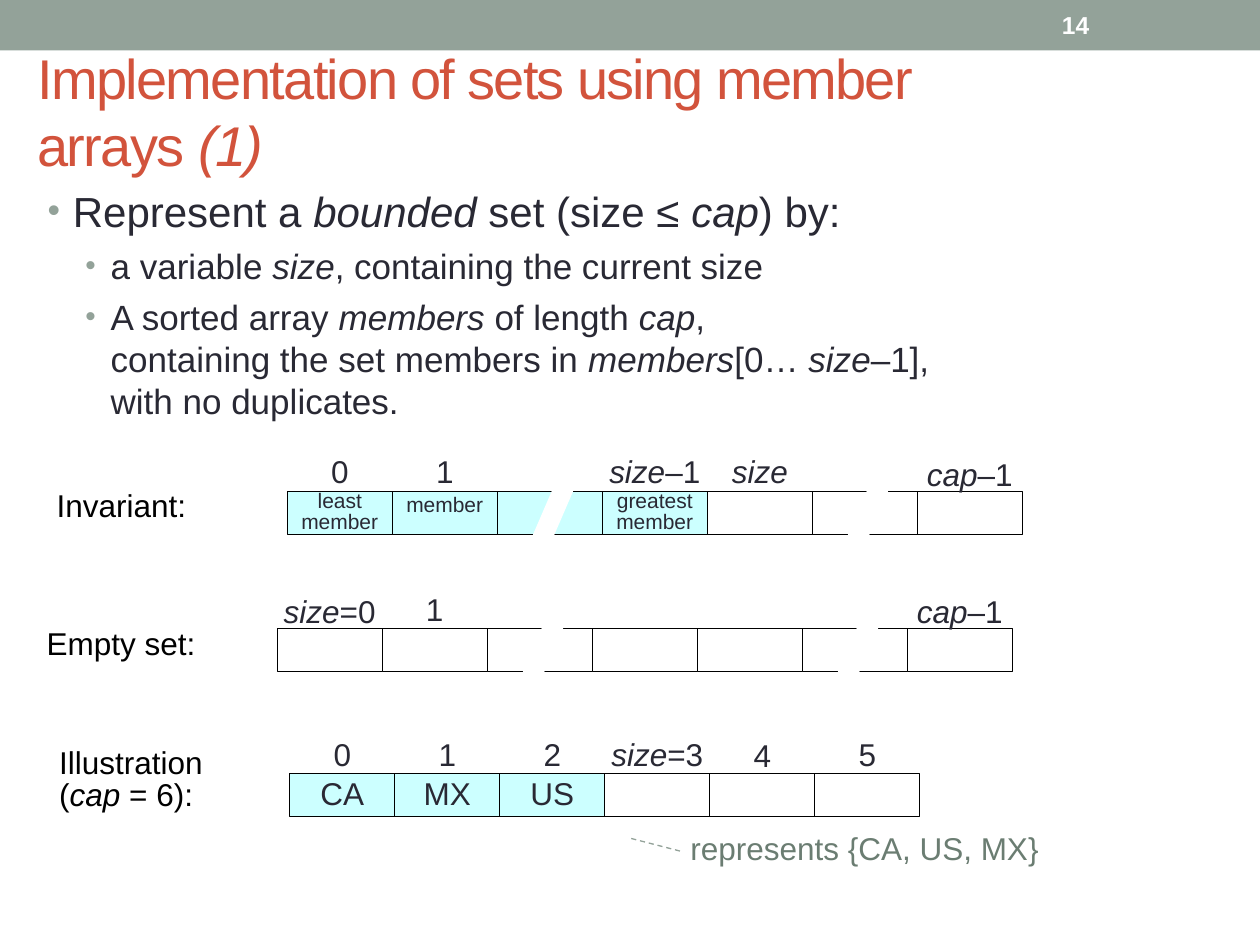
import dataclasses
import lxml.etree
import pptx
import pptx.dml.color
import pptx.enum.dml
import pptx.enum.shapes
import pptx.enum.text
import pptx.oxml.ns
import pptx.util

Inches = pptx.util.Inches
Pt = pptx.util.Pt
RGB = pptx.dml.color.RGBColor.from_string
Shape = pptx.enum.shapes.MSO_SHAPE
Align = pptx.enum.text.PP_ALIGN
Anchor = pptx.enum.text.MSO_ANCHOR
qn = pptx.oxml.ns.qn


@dataclasses.dataclass(frozen=True)
class Theme:
    font: str = "Arial"
    sage: str = "93A299"
    moss: str = "6B7D72"
    red: str = "D2533C"
    ink: str = "292934"
    black: str = "000000"
    white: str = "FFFFFF"
    aqua: str = "CCFFFF"
    title: int = 32
    lead: int = 24
    point: int = 20
    label: int = 18
    page: int = 14
    small: int = 12


theme = Theme()


def write(para, text, size, color, align=Align.LEFT, pitch=None):
    para.alignment = align
    if pitch:
        para.line_spacing = Pt(pitch)
    for part, words in enumerate(text.split("*")):
        for row, line in enumerate(words.split("\n")):
            if row:
                para.add_line_break()
            if line:
                run = para.add_run()
                run.text = line
                run.font.name = theme.font
                run.font.size = Pt(size)
                run.font.color.rgb = RGB(color)
                run.font.italic = part % 2 == 1


def place(home, box, kind=None, fill=None, line=None, inset=0):
    area = [Inches(side) for side in box]
    if kind is None:
        shape = home.add_textbox(*area)
    else:
        shape = home.add_shape(kind, *area)
        shape.shadow.inherit = False
        if fill:
            shape.fill.solid()
            shape.fill.fore_color.rgb = RGB(fill)
        else:
            shape.fill.background()
        if line:
            shape.line.color.rgb = RGB(line)
            shape.line.width = Pt(0.75)
        else:
            shape.line.fill.background()
    frame = shape.text_frame
    frame.word_wrap = True
    frame.vertical_anchor = Anchor.TOP
    frame.margin_left = frame.margin_right = Inches(inset)
    frame.margin_top = frame.margin_bottom = Inches(inset / 2)
    return shape


deck = pptx.Presentation()
deck.slide_width = Inches(10)
deck.slide_height = Inches(7.5)
slide = deck.slides.add_slide(deck.slide_layouts[6])
shapes = slide.shapes

place(shapes, (0, 0, 10, 0.4), Shape.RECTANGLE, theme.sage)

title = place(shapes, (0.2, 0.25, 8.83, 1.25), inset=0.1).text_frame
title.vertical_anchor = Anchor.MIDDLE
write(title.paragraphs[0], "Implementation of sets using member \narrays *(1)*", theme.title, theme.red)
for run in title.paragraphs[0].runs:
    run.font._element.set("spc", "-100")

body = place(shapes, (0.28, 1.39, 8.33, 5.25), inset=0.1).text_frame
body.margin_top = Inches(0.08)
points = [
    (0, "Represent a *bounded* set (size ≤ *cap*) by:"),
    (1, "a variable *size*, containing the current size"),
    (1, "A sorted array *members* of length *cap*, \ncontaining the set members in "
        "*members*[0… *size*–1],\nwith no duplicates."),
]
for spot, (level, text) in enumerate(points):
    para = body.add_paragraph() if spot else body.paragraphs[0]
    para.level = level
    props = para._p.get_or_add_pPr()
    props.set("marL", str(Inches(0.2 + 0.3 * level)))
    props.set("indent", str(Inches(-0.2)))
    tint = lxml.etree.SubElement(props, qn("a:buClr"))
    lxml.etree.SubElement(tint, qn("a:srgbClr"), val=theme.sage)
    lxml.etree.SubElement(props, qn("a:buSzPct"), val="85000")
    lxml.etree.SubElement(props, qn("a:buFont"), typeface=theme.font)
    lxml.etree.SubElement(props, qn("a:buChar"), char="•")
    if spot:
        para.space_before = Pt(5)
    write(para, text, theme.point if level else theme.lead, theme.ink)

step = 5 / 6
high = 0.34
rows = [
    dict(left=2.2, top=4.99, count=7, full=0, cells=[], size=theme.label, pitch=None, cuts=[2, 5],
         name="Empty set:", box=(0.37, 5, 1.46, 0.25),
         marks=[(0, "*size*=0", 0.24), (1, "1", 0.26), (6, "*cap*–1", 0.24)]),
    dict(left=2.28, top=3.9, count=7, full=4, cells=["least member", "member", "", "greatest member"],
         size=theme.small, pitch=12, cuts=[2, 5],
         name="Invariant:", box=(0.45, 3.91, 1.46, 0.25),
         marks=[(0, "0", 0.26), (1, "1", 0.26), (3, "*size*–1", 0.26), (4, "*size*", 0.26),
                (6, "*cap*–1", 0.24)]),
    dict(left=2.3, top=6.14, count=6, full=3, cells=["CA", "MX", "US"], size=theme.label, pitch=None, cuts=[],
         name="Illustration\n(*cap* = 6):", box=(0.47, 5.95, 1.42, 0.5),
         marks=[(0, "0", 0.26), (1, "1", 0.26), (2, "2", 0.26), (3, "*size*=3", 0.26),
                (4, "4", 0.25), (5, "5", 0.26)]),
]
for row in rows:
    group = shapes.add_group_shape().shapes
    left, top = row["left"], row["top"]
    name = place(group, row["box"]).text_frame
    write(name.paragraphs[0], row["name"], theme.label, theme.black, pitch=18)
    for col in range(row["count"]):
        fill = theme.aqua if col < row["full"] else theme.white
        cell = place(group, (left + col * step, top, step, high), Shape.RECTANGLE, fill, theme.black)
        if col < len(row["cells"]):
            text = row["cells"][col]
            pitch = row["pitch"] if " " in text else None
            write(cell.text_frame.paragraphs[0], text, row["size"], theme.ink, Align.CENTER, pitch)
    for col in row["cuts"]:
        x, y = left + col * step + 0.25, top - 0.16
        slash = group.build_freeform(Inches(x + 0.25), Inches(y))
        slash.add_line_segments([(Inches(x + a), Inches(y + b)) for a, b in [(0, 0.58), (0.17, 0.58), (0.42, 0)]])
        gap = slash.convert_to_shape()
        gap.shadow.inherit = False
        gap.fill.solid()
        gap.fill.fore_color.rgb = RGB(theme.white)
        gap.line.fill.background()
    for col, text, lift in row["marks"]:
        wide = 1 if text in ("*size*=0", "*size*–1") else step
        mid = left + (col + 0.5) * step
        mark = place(group, (mid - wide / 2, top - lift, wide, 0.26)).text_frame
        write(mark.paragraphs[0], text, theme.label, theme.ink, Align.CENTER, 18)

note = place(shapes, (5.48, 6.63, 2.77, 0.29), Shape.LINE_CALLOUT_1_NO_BORDER, line=theme.sage)
note.line.dash_style = pptx.enum.dml.MSO_LINE.DASH
for spot, value in enumerate([0.43, -0.03, 0.06, -0.18]):
    note.adjustments[spot] = value
write(note.text_frame.paragraphs[0], "represents {CA, US, MX}", theme.label, theme.moss, pitch=18)

page = place(shapes, (8.33, 0.02, 1.17, 0.36), inset=0.1).text_frame
page.vertical_anchor = Anchor.MIDDLE
write(page.paragraphs[0], "14", theme.page, theme.white)
page.paragraphs[0].runs[0].font.bold = True

deck.save("out.pptx")
